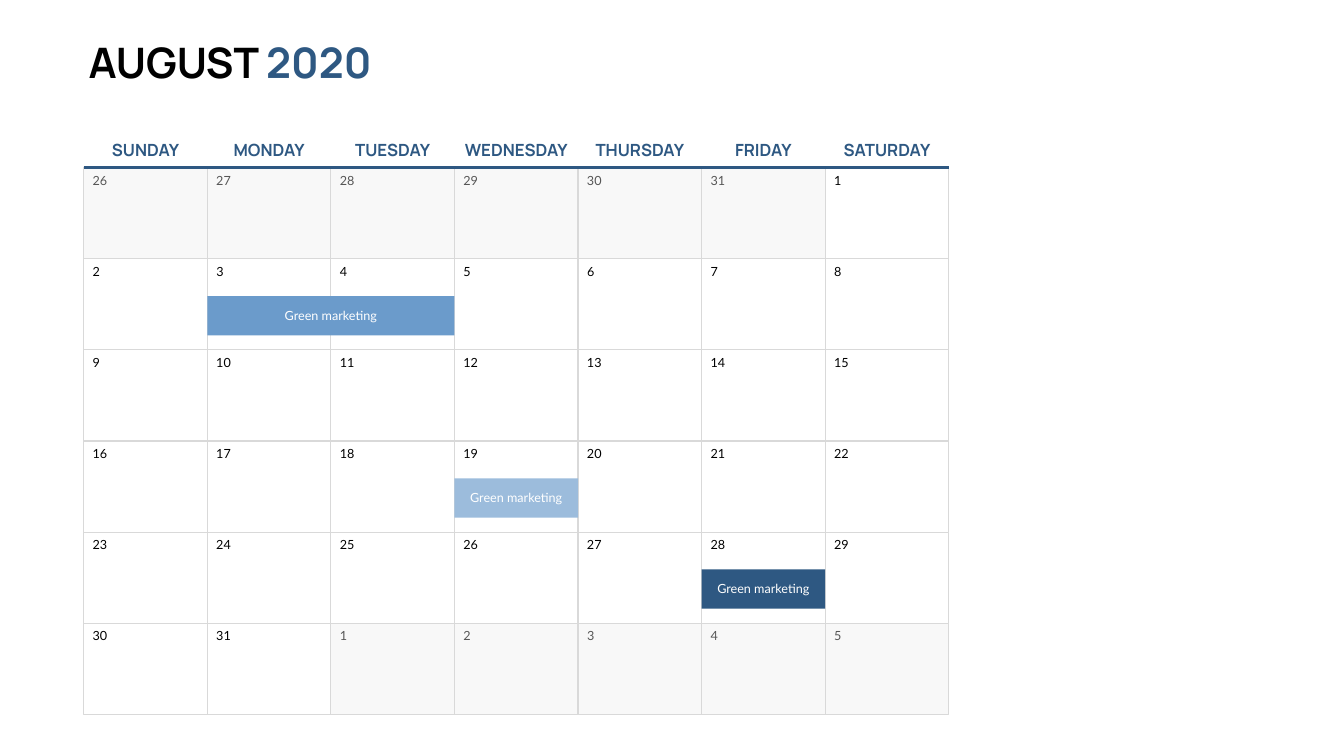
from dataclasses import dataclass
from itertools import chain

from lxml.etree import SubElement
from pptx import Presentation
from pptx.dml.color import RGBColor
from pptx.enum.shapes import MSO_CONNECTOR, MSO_SHAPE
from pptx.enum.text import MSO_ANCHOR, MSO_AUTO_SIZE, PP_ALIGN
from pptx.oxml.ns import qn
from pptx.util import Inches, Pt


@dataclass(frozen=True)
class Theme:
    heading_font: str = "Manrope"
    body_font: str = "Lato"
    title_size: int = 60
    weekday_size: int = 24
    body_size: int = 18
    grid_width: float = 1.5
    rule_width: float = 4.5
    black: str = "000000"
    white: str = "FFFFFF"
    muted: str = "565656"
    shade: str = "F2F2F2"
    grid: str = "D9D9D9"
    navy: str = "2E5882"
    blue: str = "6B9BCB"
    sky: str = "9CBCDC"


def add_text(paragraph, text, *, font, size, color, bold=False):
    run = paragraph.add_run()
    run.text = text
    run.font.name = font
    run.font.size = Pt(size)
    run.font.bold = bold
    run.font.color.rgb = RGBColor.from_string(color)


class CalendarSlide:
    def __init__(self, slide, theme):
        self.slide = slide
        self.theme = theme

    def text(self, box, runs, *, align=PP_ALIGN.LEFT, anchor=MSO_ANCHOR.MIDDLE,
             wrap=False, shapes=None, **style):
        """Each run is a text and a colour."""
        shapes = shapes or self.slide.shapes
        frame = shapes.add_textbox(*map(Inches, box)).text_frame
        frame.word_wrap = wrap
        frame.auto_size = MSO_AUTO_SIZE.SHAPE_TO_FIT_TEXT
        frame.vertical_anchor = anchor
        paragraph = frame.paragraphs[0]
        paragraph.alignment = align
        for text, color in runs:
            add_text(paragraph, text, color=color, **style)

    def rectangle(self, box, fill, *, opacity=100, line=None, shapes=None):
        shapes = shapes or self.slide.shapes
        shape = shapes.add_shape(MSO_SHAPE.RECTANGLE, *map(Inches, box))
        shape.shadow.inherit = False
        shape.fill.solid()
        shape.fill.fore_color.rgb = RGBColor.from_string(fill)
        if opacity < 100:
            color = shape.fill._xPr.find(".//" + qn("a:srgbClr"))
            SubElement(color, qn("a:alpha"), val=str(opacity * 1000))
        if line:
            shape.line.color.rgb = RGBColor.from_string(line)
            shape.line.width = Pt(self.theme.grid_width)
        else:
            shape.line.fill.background()

    def rule(self, left, top, right):
        connector = self.slide.shapes.add_connector(
            MSO_CONNECTOR.STRAIGHT, *map(Inches, (left, top, right, top)))
        connector.line.color.rgb = RGBColor.from_string(self.theme.navy)
        connector.line.width = Pt(self.theme.rule_width)
        SubElement(connector._element.spPr, qn("a:effectLst"))

    def day(self, left, top, number, in_month):
        theme = self.theme
        self.rectangle((left, top, COLUMN, ROW),
                       theme.white if in_month else theme.shade,
                       opacity=100 if in_month else 50, line=theme.grid)
        self.text((left + 0.08, top + 0.05, 0.35 if number < 10 else 0.5, 0.4),
                  [(str(number), theme.black if in_month else theme.muted)],
                  font=theme.body_font, size=theme.body_size)

    def event(self, left, top, days, label, fill):
        theme = self.theme
        shapes = self.slide.shapes.add_group_shape().shapes
        width = days * COLUMN
        inset = 0.08 * (days + 1)
        self.rectangle((left, top, width, 0.78), fill, shapes=shapes)
        self.text((left + inset, top + 0.19, width - 2 * inset, 0.4),
                  [(label, theme.white)], align=PP_ALIGN.CENTER, wrap=True,
                  anchor=MSO_ANCHOR.TOP, shapes=shapes,
                  font=theme.body_font, size=theme.body_size)


# Calendar grid
LEFT, TOP, RIGHT, BOTTOM = 1.66, 3.33, 18.82, 14.17
DAYS, WEEKS = 7, 6
COLUMN = (RIGHT - LEFT) / DAYS
ROW = (BOTTOM - TOP) / WEEKS
WEEKDAYS = {"SUNDAY": 1.62, "MONDAY": 1.75, "TUESDAY": 1.75, "WEDNESDAY": 2.35,
            "THURSDAY": 2.03, "FRIDAY": 1.43, "SATURDAY": 2.03}
LEADING, MONTH, TRAILING = range(26, 32), range(1, 32), range(1, 6)


def cell_corner(index):
    week, weekday = divmod(index, DAYS)
    return LEFT + weekday * COLUMN, TOP + week * ROW


theme = Theme()
presentation = Presentation()
presentation.slide_width = Inches(26.66)
presentation.slide_height = Inches(15)
calendar = CalendarSlide(
    presentation.slides.add_slide(presentation.slide_layouts[6]), theme)

# Title
calendar.text((LEFT, 0.67, 5.9, 1.11),
              [("AUGUST ", theme.black), ("2020", theme.navy)],
              anchor=MSO_ANCHOR.TOP, font=theme.heading_font,
              size=theme.title_size, bold=True)

# Days
for index, number in enumerate(chain(LEADING, MONTH, TRAILING)):
    in_month = 0 <= index - len(LEADING) < len(MONTH)
    calendar.day(*cell_corner(index), number, in_month)

# Weekday names
for column, (name, width) in enumerate(WEEKDAYS.items()):
    center = LEFT + (column + 0.5) * COLUMN
    calendar.text((center - width / 2, 2.72, width, 0.5), [(name, theme.navy)],
                  align=PP_ALIGN.CENTER, font=theme.heading_font,
                  size=theme.weekday_size, bold=True)
calendar.rule(LEFT, TOP, RIGHT)

# Events: first day, length in days, colour
for first_day, length, fill in ((3, 2, theme.blue), (19, 1, theme.sky),
                                (28, 1, theme.navy)):
    left, top = cell_corner(len(LEADING) + first_day - 1)
    calendar.event(left, top + 0.74, length, "Green marketing", fill)

presentation.save("out.pptx")
